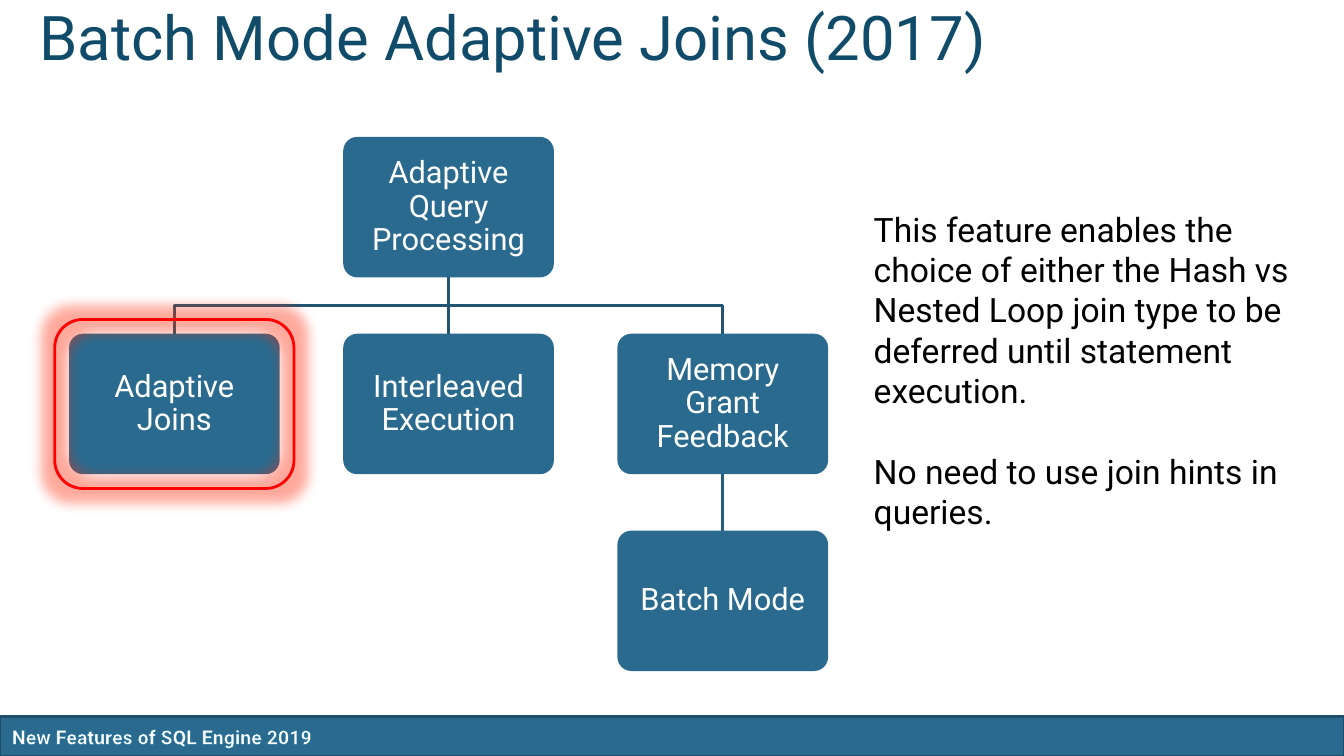
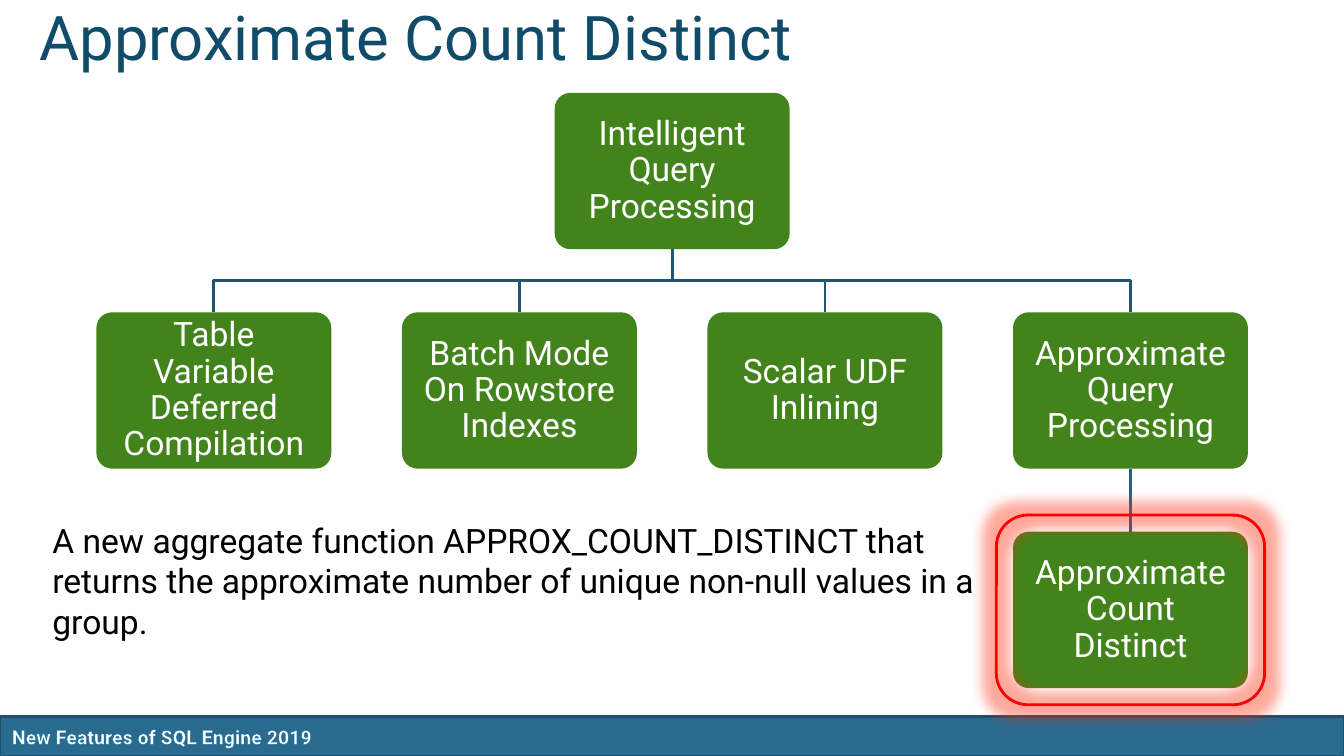
from lxml.etree import SubElement
from pptx import Presentation
from pptx.dml.color import RGBColor
from pptx.enum.shapes import MSO_CONNECTOR, MSO_SHAPE
from pptx.enum.text import MSO_ANCHOR, MSO_AUTO_SIZE, PP_ALIGN
from pptx.oxml import parse_xml
from pptx.oxml.ns import nsdecls, qn
from pptx.util import Cm, Pt

FONT = "Roboto"
WHITE, BLACK, RED = "FFFFFF", "000000", "FF0000"
BLUE, GREEN, TITLE_BLUE = "296A8E", "42831B", "104C6A"
BAND_EDGE, LETTER_EDGE = "1E4E69", "1872A0"
BRANCH_COLORS = {1: "215572", 2: "256081"}  # by row of the child box
SLIDE_WIDTH, SLIDE_HEIGHT = Cm(33.87), Cm(19.05)

# Each node is (text, column, row, index of parent); the last number of
# "highlight" is the distance between the ring and its box.
TOPICS = [
    {
        "title": "Batch Mode Adaptive Joins (2017)",
        "color": BLUE, "size": 22,
        "origin": (1.74, 3.45), "box": (5.31, 3.54), "pitch": (6.91, 4.96),
        "nodes": [
            ("Adaptive Query Processing", 1, 0, None),
            ("Adaptive Joins", 0, 1, 0),
            ("Interleaved Execution", 1, 1, 0),
            ("Memory Grant Feedback", 2, 1, 0),
            ("Batch Mode", 2, 2, 3),
        ],
        "highlight": (1, 0.36),
        "body_at": (21.77, 5.13, 11.84, 8.46),
        "body": [
            "This feature enables the choice of either the Hash vs Nested Loop "
            "join type to be deferred until statement execution.",
            "No need to use join hints in queries.",
        ],
    },
    {
        "title": "Approximate Count Distinct",
        "color": GREEN, "size": 24,
        "origin": (2.43, 2.34), "box": (5.92, 3.94), "pitch": (7.7, 5.53),
        "nodes": [
            ("Intelligent Query Processing", 1.5, 0, None),
            ("Table Variable Deferred Compilation", 0, 1, 0),
            ("Batch Mode On Rowstore Indexes", 1, 1, 0),
            ("Scalar UDF Inlining", 2, 1, 0),
            ("Approximate Query Processing", 3, 1, 0),
            ("Approximate Count Distinct", 3, 2, 4),
        ],
        "highlight": (5, 0.42),
        "body_at": (1.07, 12.98, 23.75, 3.33),
        "body": [
            "A new aggregate function APPROX_COUNT_DISTINCT that returns the "
            "approximate number of unique non-null values in a group.",
        ],
    },
]


def add_run(paragraph, text, size, color):
    run = paragraph.add_run()
    run.text = text
    run.font.name = FONT
    run.font.size = Pt(size)
    run.font.color.rgb = RGBColor.from_string(color)
    return run


def set_line(shape, color):
    """Give the shape a plain 2 pt line without any shadow."""
    shape.line.color.rgb = RGBColor.from_string(color)
    shape.line.width = Pt(2)
    properties = shape.element.spPr
    if properties.find(qn("a:effectLst")) is None:
        SubElement(properties, qn("a:effectLst"))


prs = Presentation()
prs.slide_width, prs.slide_height = SLIDE_WIDTH, SLIDE_HEIGHT
layout = prs.slide_layouts[5]
slides = [prs.slides.add_slide(layout) for topic in TOPICS]

# Footer band: drawn once, then moved to the shared layout
band = slides[0].shapes.add_shape(
    MSO_SHAPE.RECTANGLE, 0, Cm(18.05), SLIDE_WIDTH, Cm(1))
band.fill.solid()
band.fill.fore_color.rgb = RGBColor.from_string(BLUE)
set_line(band, BAND_EDGE)
footer = slides[0].shapes.add_textbox(Cm(0.05), Cm(18.14), Cm(15.4), Cm(0.86))
footer.text_frame.word_wrap = True
footer_run = add_run(footer.text_frame.paragraphs[0],
                     "New Features of SQL Engine 2019", 14, WHITE)
footer_run.font.bold = True
footer_run.font._element.insert(0, parse_xml(
    f'<a:ln {nsdecls("a")} w="10160"><a:solidFill>'
    f'<a:srgbClr val="{LETTER_EDGE}"/></a:solidFill></a:ln>'))
for part in (band, footer):
    layout.shapes.element.append(part.element)

for slide, topic in zip(slides, TOPICS):
    shapes = slide.shapes

    title = shapes.title
    title.left, title.top = Cm(0.74), Cm(0.48)
    title.width, title.height = Cm(30.48), Cm(3.18)
    title.text_frame.vertical_anchor = MSO_ANCHOR.TOP
    title.text_frame.auto_size = MSO_AUTO_SIZE.NONE
    heading = title.text_frame.paragraphs[0]
    heading.alignment = PP_ALIGN.LEFT
    heading.line_spacing = Pt(35)
    add_run(heading, topic["title"], 44, TITLE_BLUE)

    # Hierarchy of boxes, each joined to its parent
    left, top = topic["origin"]
    width, height = topic["box"]
    column_pitch, row_pitch = topic["pitch"]
    boxes = []
    for text, column, row, parent_index in topic["nodes"]:
        box = shapes.add_shape(
            MSO_SHAPE.ROUNDED_RECTANGLE,
            Cm(left + column * column_pitch), Cm(top + row * row_pitch),
            Cm(width), Cm(height))
        boxes.append(box)
        box.adjustments[0] = 0.1
        box.shadow.inherit = False
        box.fill.solid()
        box.fill.fore_color.rgb = RGBColor.from_string(topic["color"])
        box.line.fill.background()
        frame = box.text_frame
        frame.word_wrap = True
        frame.vertical_anchor = MSO_ANCHOR.MIDDLE
        frame.margin_left = frame.margin_right = Cm(0.24)
        frame.margin_top = frame.margin_bottom = Cm(0.24)
        label = frame.paragraphs[0]
        label.alignment = PP_ALIGN.CENTER
        label.line_spacing = 0.9
        add_run(label, text, topic["size"], WHITE)

        if parent_index is None:
            continue
        parent = boxes[parent_index]
        start_x = parent.left + parent.width // 2
        start_y = parent.top + parent.height
        end_x = box.left + box.width // 2
        if start_x == end_x:
            branch = shapes.add_connector(
                MSO_CONNECTOR.STRAIGHT, start_x, start_y, end_x, box.top)
            branch.begin_connect(parent, 2)
            branch.end_connect(box, 0)
        else:
            middle_y = (start_y + box.top) // 2
            path_builder = shapes.build_freeform(start_x, start_y)
            path_builder.add_line_segments(
                [(start_x, middle_y), (end_x, middle_y), (end_x, box.top)],
                close=False)
            branch = path_builder.convert_to_shape()
            branch.fill.background()
        set_line(branch, BRANCH_COLORS[row])

    # Glowing ring around the current topic
    index, gap = topic["highlight"]
    current = boxes[index]
    ring = shapes.add_shape(
        MSO_SHAPE.ROUNDED_RECTANGLE,
        current.left - Cm(gap), current.top - Cm(gap),
        current.width + 2 * Cm(gap), current.height + 2 * Cm(gap))
    ring.fill.background()
    set_line(ring, RED)
    ring.element.spPr.find(qn("a:effectLst")).append(parse_xml(
        f'<a:glow {nsdecls("a")} rad="228600"><a:srgbClr val="FF2A0A">'
        '<a:alpha val="40000"/></a:srgbClr></a:glow>'))

    body = shapes.add_textbox(*(Cm(length) for length in topic["body_at"]))
    body_frame = body.text_frame
    body_frame.word_wrap = True
    for number, text in enumerate(topic["body"]):
        if number:
            paragraph = body_frame.add_paragraph()
            paragraph.space_before = Pt(29)
        else:
            paragraph = body_frame.paragraphs[0]
        add_run(paragraph, text, 24, BLACK)

prs.save("out.pptx")
